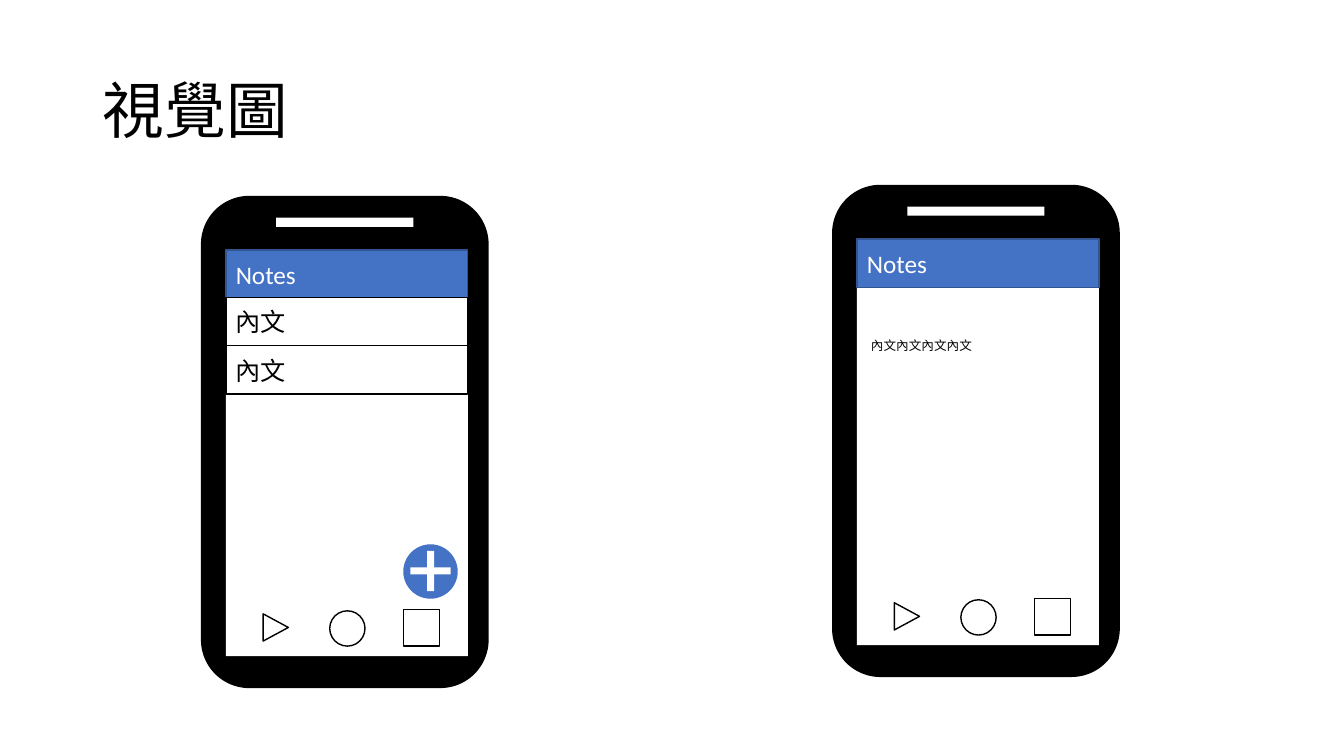
"""Build the slide with two phone mock-ups of a notes app."""
import pptx
import pptx.util
import pptx.dml.color
import pptx.enum.shapes
import pptx.enum.text

Inches = pptx.util.Inches
Pt = pptx.util.Pt
SHAPE = pptx.enum.shapes.MSO_SHAPE
MIDDLE = pptx.enum.text.MSO_ANCHOR.MIDDLE
TOP = pptx.enum.text.MSO_ANCHOR.TOP
LEFT = pptx.enum.text.PP_ALIGN.LEFT
COLORS = {"black": "000000", "white": "FFFFFF", "blue": "4472C4", "navy": "325491"}


def rgb(name):
    return pptx.dml.color.RGBColor.from_string(COLORS[name])


def write(frame, text, size=18, color="black", anchor=MIDDLE, spacing=None, wrap=True):
    frame.word_wrap = wrap
    frame.auto_size = pptx.enum.text.MSO_AUTO_SIZE.NONE
    frame.vertical_anchor = anchor
    frame.margin_left = frame.margin_right = Inches(0.1)
    frame.margin_top = frame.margin_bottom = Inches(0.05)
    paragraph = frame.paragraphs[0]
    paragraph.alignment = LEFT
    if spacing:
        paragraph.line_spacing = spacing
    run = paragraph.add_run()
    run.text = text
    run.font.name = "Calibri"
    run.font.size = Pt(size)
    run.font.color.rgb = rgb(color)


class Sketch:
    def __init__(self, slide):
        self.slide = slide

    def place(self, item, left, top, width, height):
        item.left, item.top = Inches(left), Inches(top)
        item.width, item.height = Inches(width), Inches(height)

    def title(self, text, *box):
        heading = self.slide.shapes.title
        self.place(heading, *box)
        write(heading.text_frame, text, size=44, spacing=0.9)

    def text(self, text, *box, **style):
        note = self.slide.shapes.add_textbox(*map(Inches, box))
        write(note.text_frame, text, **style)

    def shape(self, group, kind, *box, fill="white", line=None, turn=0):
        item = group.shapes.add_shape(kind, *map(Inches, box))
        item.shadow.inherit = False
        item.fill.solid()
        item.fill.fore_color.rgb = rgb(fill)
        if line:
            item.line.color.rgb = rgb(line)
            item.line.width = Pt(1)
        else:
            item.line.fill.background()
        item.rotation = turn
        return item

    def bar(self, group, text, left, top, color="black", **style):
        row = self.shape(group, SHAPE.RECTANGLE, left, top, 2.4, 0.48, **style)
        write(row.text_frame, text, color=color)

    def phone(self, x, y):
        group = self.slide.shapes.add_group_shape()
        self.shape(group, SHAPE.ROUNDED_RECTANGLE, x, y, 2.84, 4.87, fill="black", line="black")
        self.shape(group, SHAPE.RECTANGLE, x + 0.24, y + 0.53, 2.4, 4.03)
        self.shape(group, SHAPE.RECTANGLE, x + 0.74, y + 0.21, 1.36, 0.09)
        self.bar(group, "Notes", x + 0.24, y + 0.53, color="white", fill="blue", line="navy")
        self.shape(group, SHAPE.ISOSCELES_TRIANGLE, x + 0.6, y + 4.15, 0.27, 0.25,
                   line="black", turn=90)
        self.shape(group, SHAPE.OVAL, x + 1.27, y + 4.11, 0.35, 0.35, line="black")
        self.shape(group, SHAPE.RECTANGLE, x + 2, y + 4.1, 0.36, 0.36, line="black")
        return group

    def add_button(self, group, x, y):
        self.shape(group, SHAPE.OVAL, x, y, 0.54, 0.54, fill="blue")
        for turn in (0, 90):
            self.shape(group, SHAPE.RECTANGLE, x + 0.07, y + 0.23, 0.4, 0.07, turn=turn)


deck = pptx.Presentation()
deck.slide_width, deck.slide_height = Inches(13.33), Inches(7.5)
sketch = Sketch(deck.slides.add_slide(deck.slide_layouts[5]))

sketch.title("視覺圖", 0.92, 0.4, 11.5, 1.45)
list_phone = sketch.phone(2, 1.95)
sketch.add_button(list_phone, 4, 5.4)
for index in range(2):
    sketch.bar(list_phone, "內文", 2.24, 2.95 + 0.48 * index, line="black")
sketch.phone(8.26, 1.84)
sketch.text("內文" * 4, 8.54, 3.3, 2.08, 0.25, size=9, anchor=TOP)

deck.save("out.pptx")
